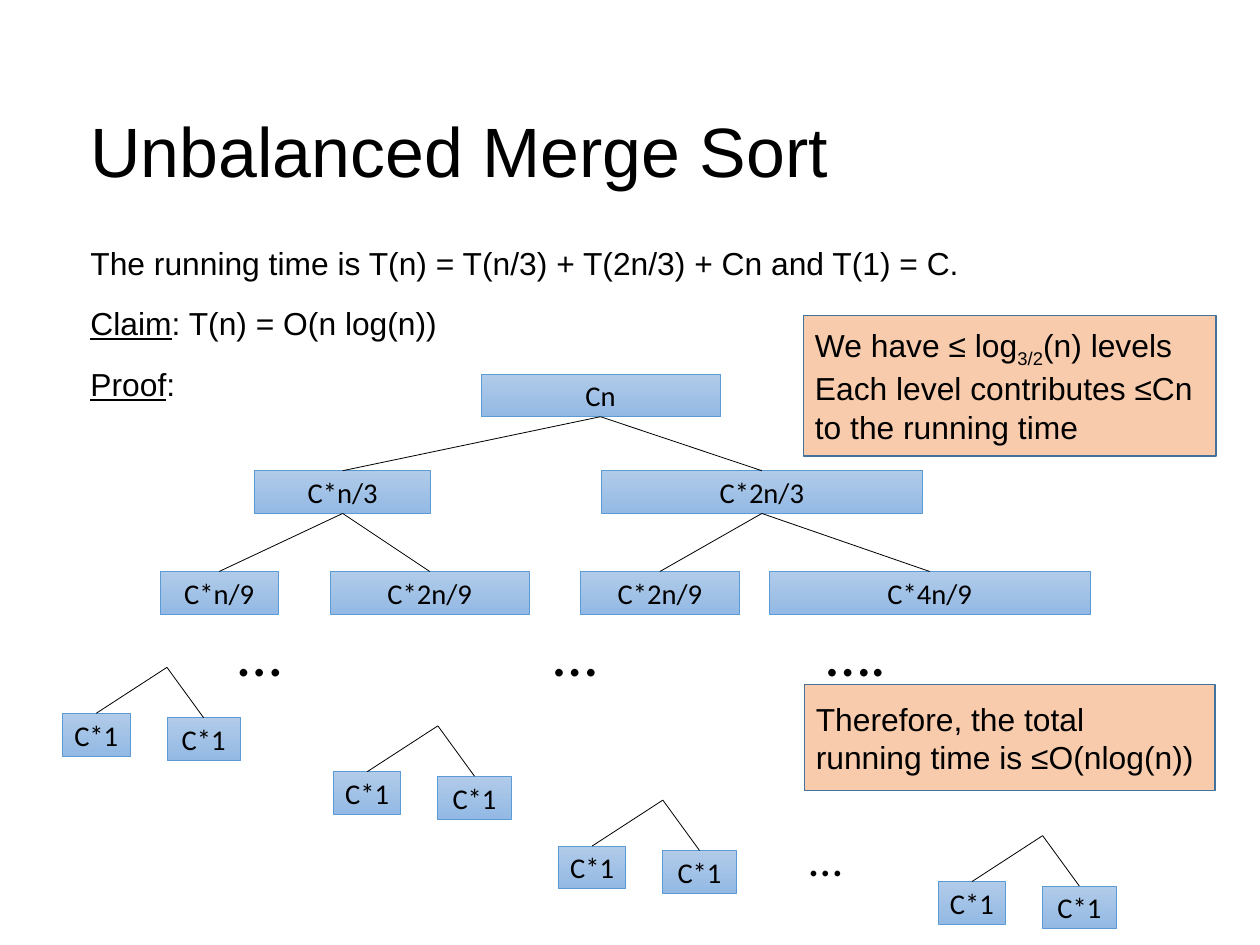
"""Build the recursion-tree slide for unbalanced merge sort."""
from dataclasses import dataclass

from lxml.etree import SubElement
from pptx import Presentation
from pptx.dml.color import RGBColor
from pptx.enum.shapes import MSO_CONNECTOR as Connector, MSO_SHAPE as Preset
from pptx.enum.text import MSO_ANCHOR as Anchor, MSO_AUTO_SIZE as AutoSize, PP_ALIGN as Align
from pptx.oxml.ns import qn
from pptx.shapes.autoshape import Shape
from pptx.slide import Slide
from pptx.text.text import TextFrame
from pptx.util import Cm, Pt


@dataclass(frozen=True)
class Theme:
    ink: RGBColor = RGBColor.from_string("000000")
    node_top: RGBColor = RGBColor.from_string("B1CBE9")
    node_bottom: RGBColor = RGBColor.from_string("93B9E4")
    node_line: RGBColor = RGBColor.from_string("5B9BD5")
    note_fill: RGBColor = RGBColor.from_string("F8CBAD")
    note_line: RGBColor = RGBColor.from_string("43729D")
    text_font: str = "Arial"
    node_font: str = "Calibri"
    title_size: float = 44
    body_size: float = 20
    node_size: float = 18
    dots_size: float = 40
    small_dots_size: float = 30
    thin: float = 0.5
    thick: float = 1


@dataclass(frozen=True)
class Box:
    left: float
    top: float
    width: float
    height: float = 0.95


@dataclass(frozen=True)
class Node:
    label: str
    box: Box
    children: tuple["Node", ...] = ()


@dataclass(frozen=True)
class Apex:
    x: float
    y: float


@dataclass(frozen=True)
class Dots:
    text: str
    box: Box
    size: float


@dataclass(frozen=True)
class Note:
    lines: tuple[tuple[str, ...], ...]
    box: Box


THEME = Theme()
LEVEL_TOPS = (8.31, 10.46, 12.7)
COST_TREE = Node("Cn", Box(10.69, LEVEL_TOPS[0], 5.31), (
    Node("C*n/3", Box(5.66, LEVEL_TOPS[1], 3.91), (
        Node("C*n/9", Box(3.56, LEVEL_TOPS[2], 2.62)),
        Node("C*2n/9", Box(7.34, LEVEL_TOPS[2], 4.42)),
    )),
    Node("C*2n/3", Box(13.36, LEVEL_TOPS[1], 7.14), (
        Node("C*2n/9", Box(12.9, LEVEL_TOPS[2], 3.53)),
        Node("C*4n/9", Box(17.09, LEVEL_TOPS[2], 7.14)),
    )),
))
LEAF_OFFSETS = (Box(-2.32, 1.02, 1.5), Box(0, 1.12, 1.63))
LEAF_APEXES = (Apex(3.71, 14.83), Apex(9.73, 16.13), Apex(14.73, 17.78), Apex(23.17, 18.57))
ELLIPSES = (
    Dots("…", Box(5.03, 13.49, 2, 1.95), THEME.dots_size),
    Dots("…", Box(12.04, 13.49, 2, 1.95), THEME.dots_size),
    Dots("….", Box(18.11, 13.49, 2, 1.95), THEME.dots_size),
    Dots("…", Box(17.73, 18.29, 1.5, 1.55), THEME.small_dots_size),
)
BODY = (
    ("", "The running time is T(n) = T(n/3) + T(2n/3) + Cn and T(1) = C."),
    ("Claim", ": T(n) = O(n log(n))"),
    ("Proof", ":"),
)
NOTES = (
    Note((("We have ≤ log", "3/2", "(n) levels"),
          ("Each level contributes ≤Cn to the running time",)), Box(17.86, 7.01, 9.17, 3.12)),
    Note((("Therefore, the total\vrunning time is ≤O(nlog(n))",),), Box(17.88, 15.21, 9.12, 2.36)),
)


def place(box: Box) -> tuple[Cm, Cm, Cm, Cm]:
    return Cm(box.left), Cm(box.top), Cm(box.width), Cm(box.height)


def format_text(frame: TextFrame, font: str, size: float, align: Align = Align.LEFT) -> None:
    for paragraph in frame.paragraphs:
        paragraph.alignment = align
        for run in paragraph.runs:
            run.font.name = font
            run.font.size = Pt(size)
            run.font.color.rgb = THEME.ink


def clear_margins(frame: TextFrame) -> None:
    frame.margin_left = frame.margin_top = frame.margin_right = frame.margin_bottom = 0


def add_box(slide: Slide, box: Box, line: RGBColor, width: float) -> Shape:
    shape = slide.shapes.add_shape(Preset.RECTANGLE, *place(box))
    shape.shadow.inherit = False
    shape.line.color.rgb = line
    shape.line.width = Pt(width)
    shape.text_frame.vertical_anchor = Anchor.MIDDLE
    shape.text_frame.word_wrap = True
    return shape


def add_node(slide: Slide, label: str, box: Box) -> Shape:
    shape = add_box(slide, box, THEME.node_line, THEME.thin)
    shape.fill.gradient()
    shape.fill.gradient_angle = 270
    for stop, color in zip(shape.fill.gradient_stops, (THEME.node_top, THEME.node_bottom)):
        stop.color.rgb = color
    shape.text_frame.text = label
    clear_margins(shape.text_frame)
    format_text(shape.text_frame, THEME.node_font, THEME.node_size, Align.CENTER)
    return shape


def add_branch(slide: Slide, x: int, y: int, child: Shape) -> None:
    branch = slide.shapes.add_connector(Connector.STRAIGHT, x, y, x, y)
    branch.end_connect(child, 0)
    branch.line.color.rgb = THEME.ink
    branch.line.width = Pt(THEME.thin)
    SubElement(branch._element.spPr, qn("a:effectLst"))


def add_tree(slide: Slide, node: Node) -> Shape:
    shape = add_node(slide, node.label, node.box)
    for child in node.children:
        add_branch(slide, shape.left + shape.width // 2, shape.top + shape.height,
                   add_tree(slide, child))
    return shape


def add_leaves(slide: Slide, apex: Apex) -> None:
    for offset in LEAF_OFFSETS:
        box = Box(apex.x + offset.left, apex.y + offset.top, offset.width)
        add_branch(slide, Cm(apex.x), Cm(apex.y), add_node(slide, "C*1", box))


def add_dots(slide: Slide, dots: Dots) -> None:
    frame = slide.shapes.add_textbox(*place(dots.box)).text_frame
    frame.word_wrap = True
    frame.text = dots.text
    format_text(frame, THEME.node_font, dots.size)


def add_note(slide: Slide, note: Note) -> None:
    shape = add_box(slide, note.box, THEME.note_line, THEME.thick)
    shape.fill.solid()
    shape.fill.fore_color.rgb = THEME.note_fill
    frame = shape.text_frame
    frame.text = "\n".join("".join(line[:1]) for line in note.lines)
    for paragraph, line in zip(frame.paragraphs, note.lines):
        for position, text in enumerate(line[1:]):
            run = paragraph.add_run()
            run.text = text
            if position == 0:
                run._r.get_or_add_rPr().set("baseline", "-25000")
    format_text(frame, THEME.text_font, THEME.body_size)


def add_title(slide: Slide, text: str) -> None:
    title = slide.shapes.title
    title.left, title.top, title.width, title.height = place(Box(2.01, 1.91, 23.5, 2.84))
    frame = title.text_frame
    frame.text = text
    frame.auto_size = AutoSize.NONE
    frame.vertical_anchor = Anchor.MIDDLE
    clear_margins(frame)
    format_text(frame, THEME.text_font, THEME.title_size)


def add_body(slide: Slide) -> None:
    frame = slide.shapes.add_textbox(*place(Box(2.01, 5.41, 24.59, 14.02))).text_frame
    frame.word_wrap = True
    clear_margins(frame)
    frame.text = "\n".join(heading for heading, _ in BODY)
    for paragraph, (_, text) in zip(frame.paragraphs, BODY):
        paragraph.space_after = Pt(14.2)
        for run in paragraph.runs:
            run.font.underline = True
        paragraph.add_run().text = text
    format_text(frame, THEME.text_font, THEME.body_size)


def main() -> None:
    presentation = Presentation()
    presentation.slide_width, presentation.slide_height = Cm(28), Cm(21)
    slide = presentation.slides.add_slide(presentation.slide_layouts[5])
    add_title(slide, "Unbalanced Merge Sort")
    add_body(slide)
    add_tree(slide, COST_TREE)
    for apex in LEAF_APEXES:
        add_leaves(slide, apex)
    for dots in ELLIPSES:
        add_dots(slide, dots)
    for note in NOTES:
        add_note(slide, note)
    presentation.save("out.pptx")


main()
